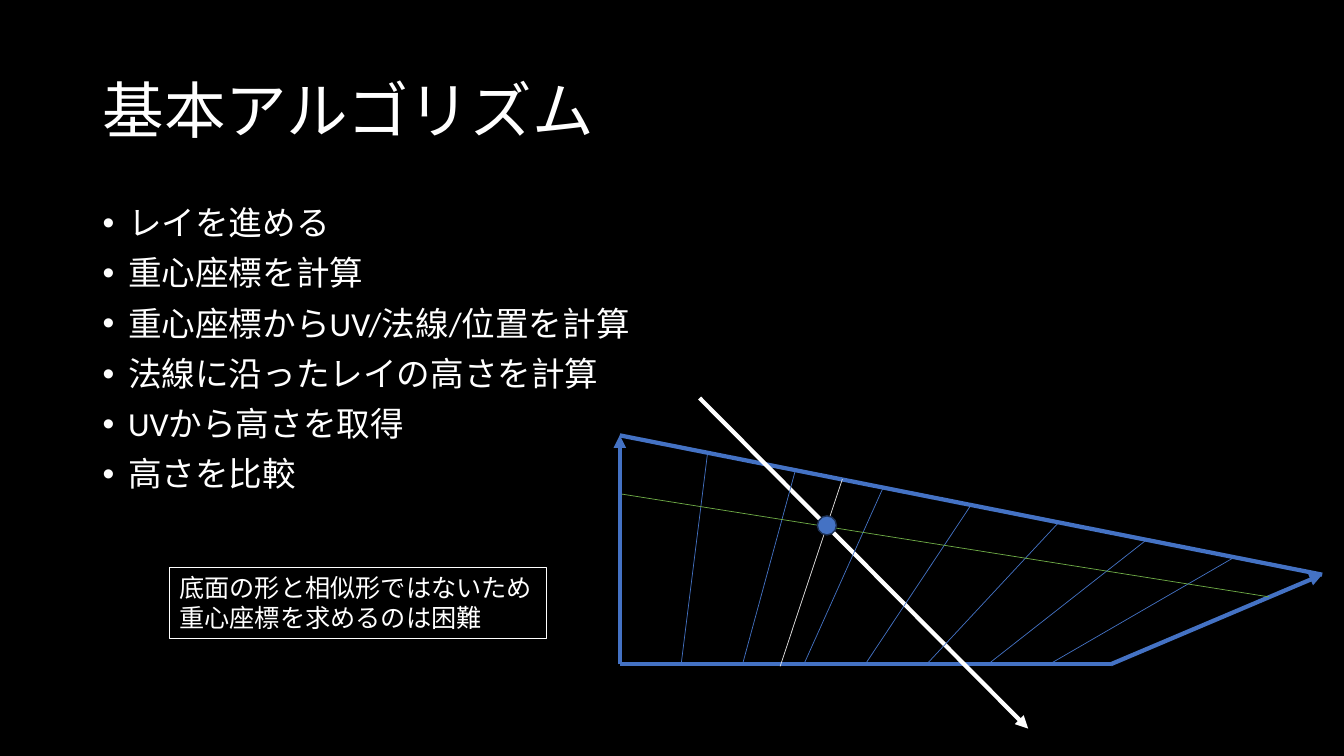
from lxml import etree
from pptx import Presentation
from pptx.dml.color import RGBColor as RGB
from pptx.enum.shapes import MSO_CONNECTOR as Link, MSO_SHAPE as Form
from pptx.enum.text import MSO_ANCHOR as Anchor, MSO_AUTO_SIZE as Fit, PP_ALIGN as Align
from pptx.oxml.ns import qn
from pptx.util import Cm, Pt

BLACK = RGB(0x00, 0x00, 0x00)
WHITE = RGB(0xFF, 0xFF, 0xFF)
PALE = RGB(0xE7, 0xE6, 0xE6)
BLUE = RGB(0x44, 0x72, 0xC4)
NAVY = RGB(0x1E, 0x32, 0x56)
GREEN = RGB(0x70, 0xAD, 0x47)

THICK, THIN = 3, 0.5
STRIPS = 8

# Corners of the prism, in centimetres
LOW_LEFT = (15.62, 16.74)
LOW_RIGHT = (27.99, 16.74)
TOP_LEFT = (15.62, 10.97)
TOP_RIGHT = (33.32, 14.48)

STEPS = [
    "レイを進める",
    "重心座標を計算",
    "重心座標からUV/法線/位置を計算",
    "法線に沿ったレイの高さを計算",
    "UVから高さを取得",
    "高さを比較",
]
NOTE = ["底面の形と相似形ではないため", "重心座標を求めるのは困難"]


def add_line(slide, start, end, color, width, arrow=False):
    ends = [Cm(v) for v in (*start, *end)]
    line = slide.shapes.add_connector(Link.STRAIGHT, *ends)
    line.line.color.rgb = color
    line.line.width = Pt(width)
    if arrow:
        etree.SubElement(line.line._get_or_add_ln(), qn("a:tailEnd"), type="triangle")
    etree.SubElement(line._element.spPr, qn("a:effectLst"))


def along(start, end, part):
    """Return the point at the given fraction of the way from start to end."""
    return tuple(a + (b - a) * part for a, b in zip(start, end))


def add_bullet(para):
    props = para._p.get_or_add_pPr()
    props.set("marL", str(Cm(0.64)))
    props.set("indent", str(-Cm(0.64)))
    etree.SubElement(props, qn("a:buFont"), typeface="Arial")
    etree.SubElement(props, qn("a:buChar"), char="•")


def style(para, size):
    para.alignment = Align.LEFT
    for run in para.runs:
        run.font.name = "Calibri"
        run.font.size = Pt(size)
        run.font.color.rgb = WHITE


def add_title(slide, text):
    box = slide.shapes.add_textbox(Cm(2.34), Cm(1.02), Cm(29.21), Cm(3.68))
    frame = box.text_frame
    frame.word_wrap = True
    frame.vertical_anchor = Anchor.MIDDLE
    frame.text = text
    para = frame.paragraphs[0]
    para.line_spacing = 0.9
    style(para, 44)


def add_list(slide, items):
    box = slide.shapes.add_textbox(Cm(2.34), Cm(5.08), Cm(29.21), Cm(12.09))
    frame = box.text_frame
    frame.word_wrap = True
    frame.text = "\n".join(items)
    for i, para in enumerate(frame.paragraphs):
        add_bullet(para)
        para.line_spacing = 0.9
        para.space_before = Pt(10 if i else 0)
        style(para, 24)
    frame.paragraphs[0].runs[0].font.name = "Times New Roman"


def add_note(slide, lines):
    box = slide.shapes.add_textbox(Cm(4.27), Cm(14.3), Cm(9.5), Cm(1.8))
    box.line.color.rgb = WHITE
    box.line.width = Pt(0.75)
    frame = box.text_frame
    frame.word_wrap = False
    frame.auto_size = Fit.SHAPE_TO_FIT_TEXT
    frame.text = "\n".join(lines)
    for para in frame.paragraphs:
        style(para, 18)


def add_dot(slide):
    dot = slide.shapes.add_shape(Form.OVAL, Cm(20.6), Cm(13), Cm(0.48), Cm(0.48))
    dot.shadow.inherit = False
    dot.fill.solid()
    dot.fill.fore_color.rgb = BLUE
    dot.line.color.rgb = NAVY
    dot.line.width = Pt(1)


def add_prism(slide):
    add_line(slide, LOW_LEFT, LOW_RIGHT, BLUE, THICK)
    add_line(slide, LOW_LEFT, TOP_LEFT, BLUE, THICK, arrow=True)
    add_line(slide, LOW_RIGHT, TOP_RIGHT, BLUE, THICK, arrow=True)
    add_line(slide, TOP_LEFT, TOP_RIGHT, BLUE, THICK)
    add_line(slide, (17.63, 10.03), (25.91, 18.36), WHITE, THICK, arrow=True)
    for i in range(1, STRIPS):
        low = along(LOW_LEFT, LOW_RIGHT, i / STRIPS)
        top = along(TOP_LEFT, TOP_RIGHT, i / STRIPS)
        add_line(slide, low, top, BLUE, THIN)
    add_line(slide, (15.67, 12.45), (31.98, 15.04), GREEN, THIN)


def main():
    deck = Presentation()
    deck.slide_width, deck.slide_height = Cm(33.87), Cm(19.05)
    slide = deck.slides.add_slide(deck.slide_layouts[6])
    slide.background.fill.solid()
    slide.background.fill.fore_color.rgb = BLACK
    add_prism(slide)
    add_title(slide, "基本アルゴリズム")
    add_list(slide, STEPS)
    add_line(slide, (19.66, 16.79), (21.23, 12.07), PALE, THIN)
    add_dot(slide)
    add_note(slide, NOTE)
    deck.save("out.pptx")


if __name__ == "__main__":
    main()
